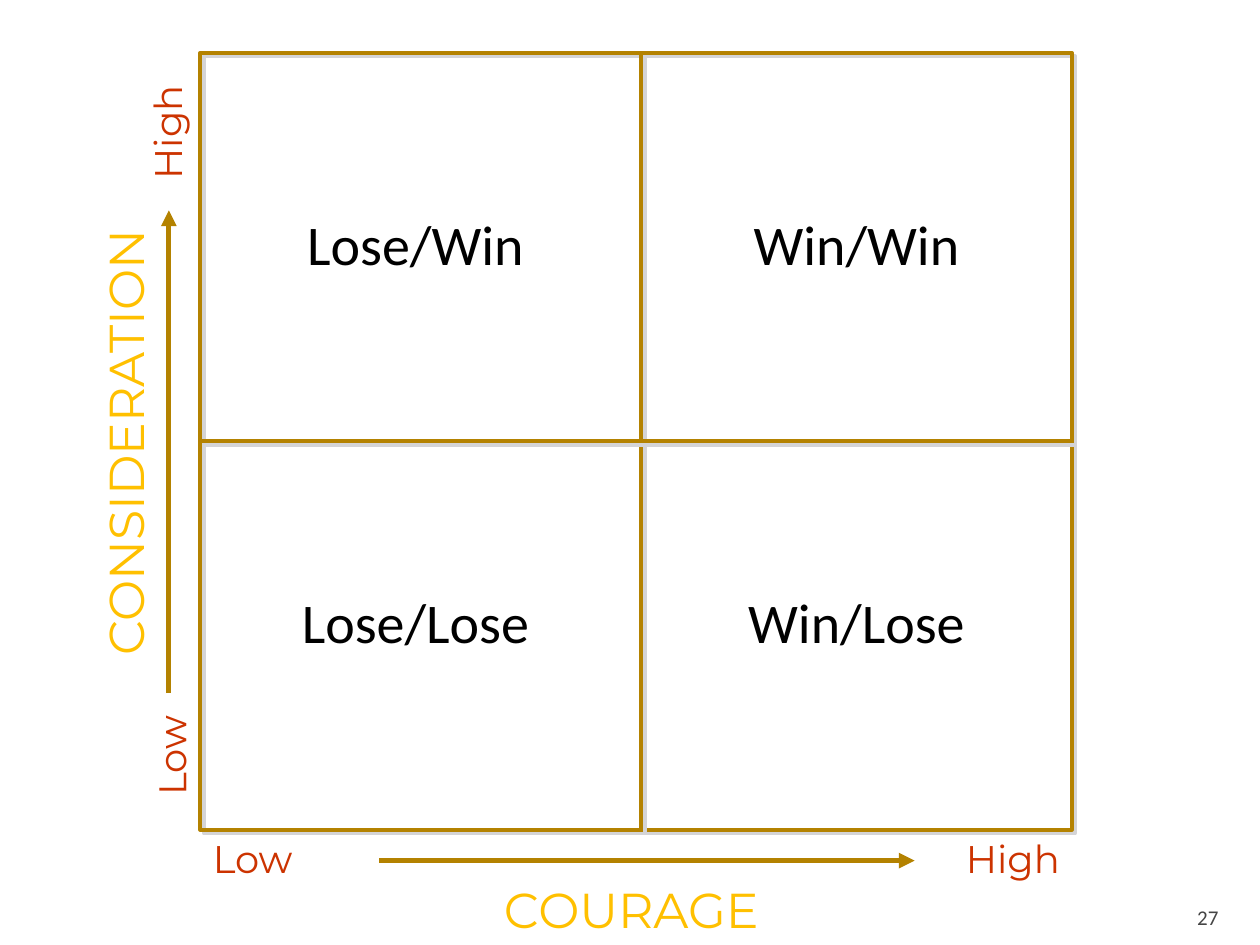
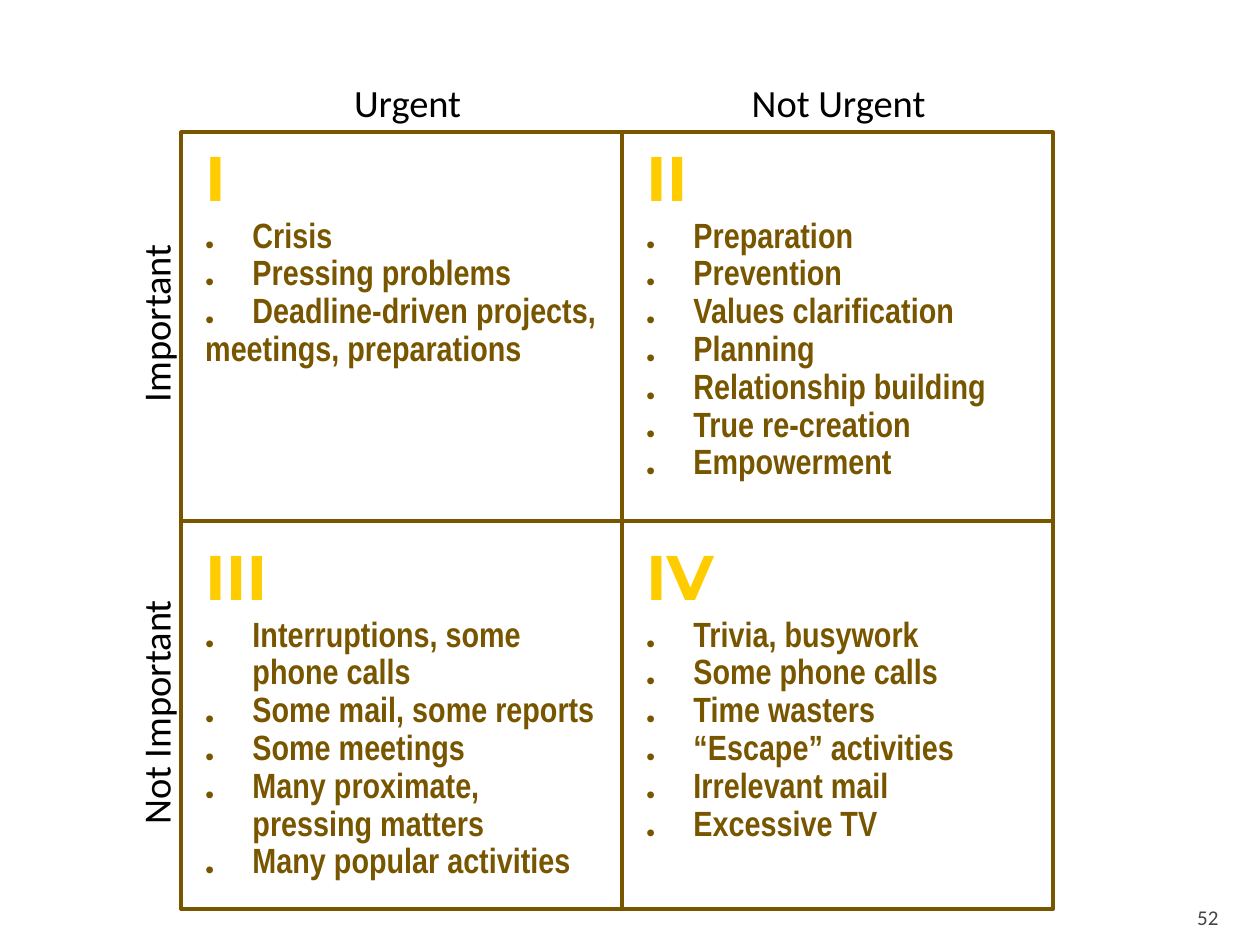
import pptx
import pptx.util
import pptx.dml.color
import pptx.enum.shapes
import pptx.enum.text
import pptx.oxml
import pptx.oxml.ns

Pt = pptx.util.Pt
ALIGN = pptx.enum.text.PP_ALIGN
LEFT, CENTER, RIGHT = ALIGN.LEFT, ALIGN.CENTER, ALIGN.RIGHT
NS = pptx.oxml.ns.nsdecls("a")

GRID_W, GRID_H = 498, 444
COLUMN = 252


def rgb(value):
    return pptx.dml.color.RGBColor.from_string(value)


class Deck:
    head_font, body_font, list_font = "Montserrat", "Calibri", "Arial Narrow"
    black, gray, shade = "000000", "454545", "D4D4D6"
    gold, brown, amber, yellow, red = "B48200", "785600", "FFC000", "FFCC00", "CC3300"

    def __init__(self):
        self.prs = pptx.Presentation()
        self.prs.slide_width, self.prs.slide_height = Pt(720), Pt(540)

    def slide(self, number):
        self.s = self.prs.slides.add_slide(self.prs.slide_layouts[6])
        tf = self.label(str(number), 645.8, 509.8, 57.6, 21.6, 12, self.gray, align=RIGHT)
        tf.vertical_anchor = pptx.enum.text.MSO_ANCHOR.BOTTOM
        tf.margin_bottom = 0

    def box(self, x, y, w, h, rotation=0):
        sp = self.s.shapes.add_textbox(Pt(x), Pt(y), Pt(w), Pt(h))
        sp.rotation = rotation
        tf = sp.text_frame
        tf.word_wrap = True
        return tf

    def run(self, p, text, size, color, font, bold=False):
        r = p.add_run()
        r.text = text
        r.font.size, r.font.name, r.font.bold = Pt(size), font, bold
        r.font.color.rgb = rgb(color)

    def label(self, text, x, y, w, h, size, color, font=body_font, align=LEFT,
              rotation=0, bold=False, spacing=None):
        tf = self.box(x, y, w, h, rotation)
        p = tf.paragraphs[0]
        p.alignment = align
        p.line_spacing = spacing
        self.run(p, text, size, color, font, bold)
        return tf

    def bullets(self, items, x, y, w):
        tf = self.box(x, y, w, 7.2 + 21.6 * len(items))
        for i, item in enumerate(items):
            p = tf.add_paragraph() if i else tf.paragraphs[0]
            p.line_spacing = 0.9
            tabs = f'<a:tabLst {NS}><a:tab pos="{Pt(27)}" algn="l"/></a:tabLst>'
            p._p.get_or_add_pPr().append(pptx.oxml.parse_xml(tabs))
            if not item.startswith("\t"):
                self.run(p, ".", 20, self.brown, self.head_font, True)
                item = "\t" + item
            self.run(p, item, 20, self.brown, self.list_font, True)

    def effect(self, sp, shadow):
        inner = ""
        if shadow:
            inner = (f'<a:outerShdw dist="{Pt(2.8)}" dir="2700000" algn="ctr" rotWithShape="0">'
                     f'<a:srgbClr val="{self.shade}"/></a:outerShdw>')
        xml = f"<a:effectLst {NS}>{inner}</a:effectLst>"
        sp._element.spPr.append(pptx.oxml.parse_xml(xml))

    def line(self, x1, y1, x2, y2, color, width=2.25, shadow=False, arrow=False):
        kind = pptx.enum.shapes.MSO_CONNECTOR.STRAIGHT
        sp = self.s.shapes.add_connector(kind, Pt(x1), Pt(y1), Pt(x2), Pt(y2))
        sp.line.color.rgb, sp.line.width = rgb(color), Pt(width)
        if arrow:
            ln = sp.line._get_or_add_ln()
            ln.append(pptx.oxml.parse_xml(f'<a:tailEnd {NS} type="triangle"/>'))
        self.effect(sp, shadow)
        return sp

    def grid(self, x, y, color, shadow=False):
        kind = pptx.enum.shapes.MSO_SHAPE.RECTANGLE
        sp = self.s.shapes.add_shape(kind, Pt(x), Pt(y), Pt(GRID_W), Pt(GRID_H))
        sp.fill.background()
        sp.line.color.rgb, sp.line.width = rgb(color), Pt(2.25)
        self.effect(sp, shadow)
        self.line(x + COLUMN, y, x + COLUMN, y + GRID_H, color, shadow=shadow)
        middle = y + GRID_H / 2
        across = self.line(x, middle, x + GRID_W, middle, color, shadow=shadow)
        across.begin_connect(sp, 1)
        across.end_connect(sp, 3)


def win_lose(d):
    d.slide(27)
    x, y = 114.5, 30.25
    d.grid(x, y, d.gold, shadow=True)
    outcomes = (("Lose/Win", "Win/Win"), ("Lose/Lose", "Win/Lose"))
    for row, texts in enumerate(outcomes):
        for col, text in enumerate(texts):
            d.label(text, x + COLUMN * col, y + 90 + 216 * row, 246, 42.5, 32, d.black,
                    align=CENTER, spacing=0.9)
    ends = (("High", 53.3, 67, 84.2, RIGHT, 270), ("Low", 64.8, 411.8, 66.2, LEFT, 270),
            ("Low", x, 473.8, 126, LEFT, 0), ("High", 486.7, 473.8, 126, RIGHT, 0))
    for text, left, top, w, align, rotation in ends:
        d.label(text, left, top, w, 33.8, 22, d.red, d.head_font, align, rotation)
    axes = (("CONSIDERATION", -144, 232.6, 431.3, 270), ("COURAGE", 162.7, 499, 396, 0))
    for text, left, top, w, rotation in axes:
        d.label(text, left, top, w, 41, 28, d.amber, d.head_font, CENTER, rotation)
    d.line(96.5, 396, 96.5, 120.2, d.gold, 3, arrow=True)
    d.line(216.7, 491.8, 522.7, 491.8, d.gold, 3, arrow=True)


def time_matrix(d):
    d.slide(52)
    x, y = 103.7, 75.6
    d.grid(x, y, d.brown)
    quadrants = (
        ("I", ("Crisis", "Pressing problems",
               "Deadline-driven projects, \tmeetings, preparations")),
        ("II", ("Preparation", "Prevention", "Values clarification", "Planning",
                "Relationship building", "True re-creation", "Empowerment")),
        ("III", ("Interruptions, some", "\tphone calls", "Some mail, some reports",
                 "Some meetings", "Many proximate,", "\tpressing matters",
                 "Many popular activities")),
        ("IV", ("Trivia, busywork", "Some phone calls", "Time wasters",
                "“Escape” activities", "Irrelevant mail", "Excessive TV")),
    )
    for i, (numeral, items) in enumerate(quadrants):
        row, col = divmod(i, 2)
        left, top = x + 6.5 + COLUMN * col, y + 228 * row
        d.label(numeral, left, top, 66, 50.4, 36, d.yellow, d.head_font, bold=True)
        d.bullets(items, left, top + 45.4, 252)
    heads = (("Urgent", 133.9, 41.8, 0), ("Not Urgent", 380.2, 41.8, 0),
             ("Important", -10.1, 167.8, 270), ("Not Important", -10.1, 390.2, 270))
    for text, left, top, rotation in heads:
        d.label(text, left, top, 198, 33.8, 22, d.black, align=CENTER, rotation=rotation)


def main():
    d = Deck()
    win_lose(d)
    time_matrix(d)
    d.prs.save("out.pptx")


if __name__ == "__main__":
    main()
